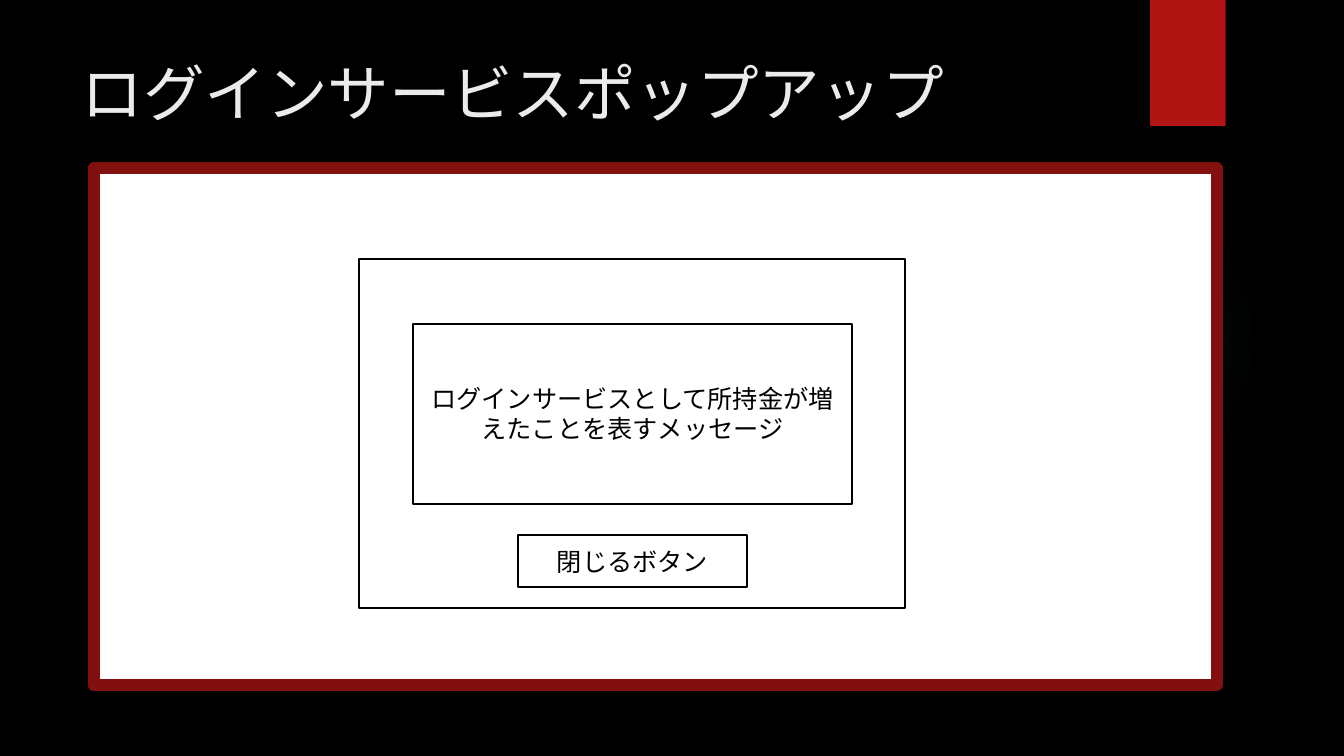
from pptx import Presentation
from pptx.dml.color import RGBColor
from pptx.enum.shapes import MSO_SHAPE as SHAPE
from pptx.enum.text import MSO_ANCHOR as ANCHOR, PP_ALIGN as ALIGN
from pptx.oxml import parse_xml
from pptx.oxml.ns import nsdecls, qn
from pptx.util import Pt
from lxml.etree import SubElement


def color(hex_code):
    return RGBColor.from_string(hex_code)


def write(tf, text, size=18, ink="000000", font="Quicksand",
          align=ALIGN.CENTER, anchor=ANCHOR.MIDDLE):
    tf.word_wrap = True
    tf.vertical_anchor = anchor
    p = tf.paragraphs[0]
    p.alignment = align
    r = p.add_run()
    r.text = text
    r.font.name = font
    r.font.size = Pt(size)
    r.font.color.rgb = color(ink)
    # Japanese characters take the East Asian typeface
    SubElement(r.font._element, qn("a:ea")).set("typeface", font)


class Deck:
    RED, DARK_RED, WHITE, BLACK = "B01513", "82100E", "FFFFFF", "000000"
    TITLE_INK, GLOW = "EBEBEB", "50B9C1"

    def __init__(self):
        self.prs = Presentation()
        self.prs.slide_width, self.prs.slide_height = Pt(960), Pt(540)
        self.s = self.prs.slides.add_slide(self.prs.slide_layouts[6])
        fill = self.s.background.fill
        fill.solid()
        fill.fore_color.rgb = color(self.BLACK)

    def shape(self, x, y, w, h, kind=SHAPE.RECTANGLE, fill=None, line=None,
              width=1.5, text=None):
        sp = self.s.shapes.add_shape(kind, Pt(x), Pt(y), Pt(w), Pt(h))
        sp.shadow.inherit = False
        if fill:
            sp.fill.solid()
            sp.fill.fore_color.rgb = color(fill)
        else:
            sp.fill.background()
        if line:
            sp.line.color.rgb = color(line)
            sp.line.width = Pt(width)
        else:
            sp.line.fill.background()
        if text:
            write(sp.text_frame, text)
        return sp

    def glow(self, x, y, d):
        sp = self.shape(x, y, d, d, SHAPE.OVAL)
        stops = "".join(
            f'<a:gs pos="{pos}000"><a:srgbClr val="{self.GLOW}">'
            f'<a:alpha val="{alpha}000"/></a:srgbClr></a:gs>'
            for pos, alpha in ((0, 7), (36, 6), (69, 0)))
        grad = parse_xml(
            f'<a:gradFill {nsdecls("a")}><a:gsLst>{stops}</a:gsLst>'
            '<a:path path="circle"><a:fillToRect l="50000" t="50000" '
            'r="50000" b="50000"/></a:path></a:gradFill>')
        sp_pr = sp._element.spPr
        sp_pr.replace(sp_pr.find(qn("a:noFill")), grad)

    def title(self, x, y, w, h, text):
        box = self.s.shapes.add_textbox(Pt(x), Pt(y), Pt(w), Pt(h))
        write(box.text_frame, text, size=44, ink=self.TITLE_INK,
              align=ALIGN.LEFT, anchor=ANCHOR.TOP)


def main():
    deck = Deck()

    # Backdrop and heading
    deck.glow(677.5, 131.8, 221.8)
    deck.shape(821.5, 0, 54, 90, fill=deck.RED)
    deck.title(51.1, 36, 740.9, 110.2, "ログインサービスポップアップ")

    # Screen panel
    deck.shape(67, 120.2, 802.1, 369.4, fill=deck.WHITE,
               line=deck.DARK_RED, width=8.5)

    # Popup window with its button and message
    for x, y, w, h, text in (
            (256.3, 185, 390.2, 249.1, None),
            (370.1, 382.3, 163.4, 36.7, "閉じるボタン"),
            (295.2, 231.1, 313.2, 128.9,
             "ログインサービスとして所持金が増えたことを表すメッセージ")):
        deck.shape(x, y, w, h, line=deck.BLACK, text=text)

    deck.prs.save("out.pptx")


if __name__ == "__main__":
    main()
